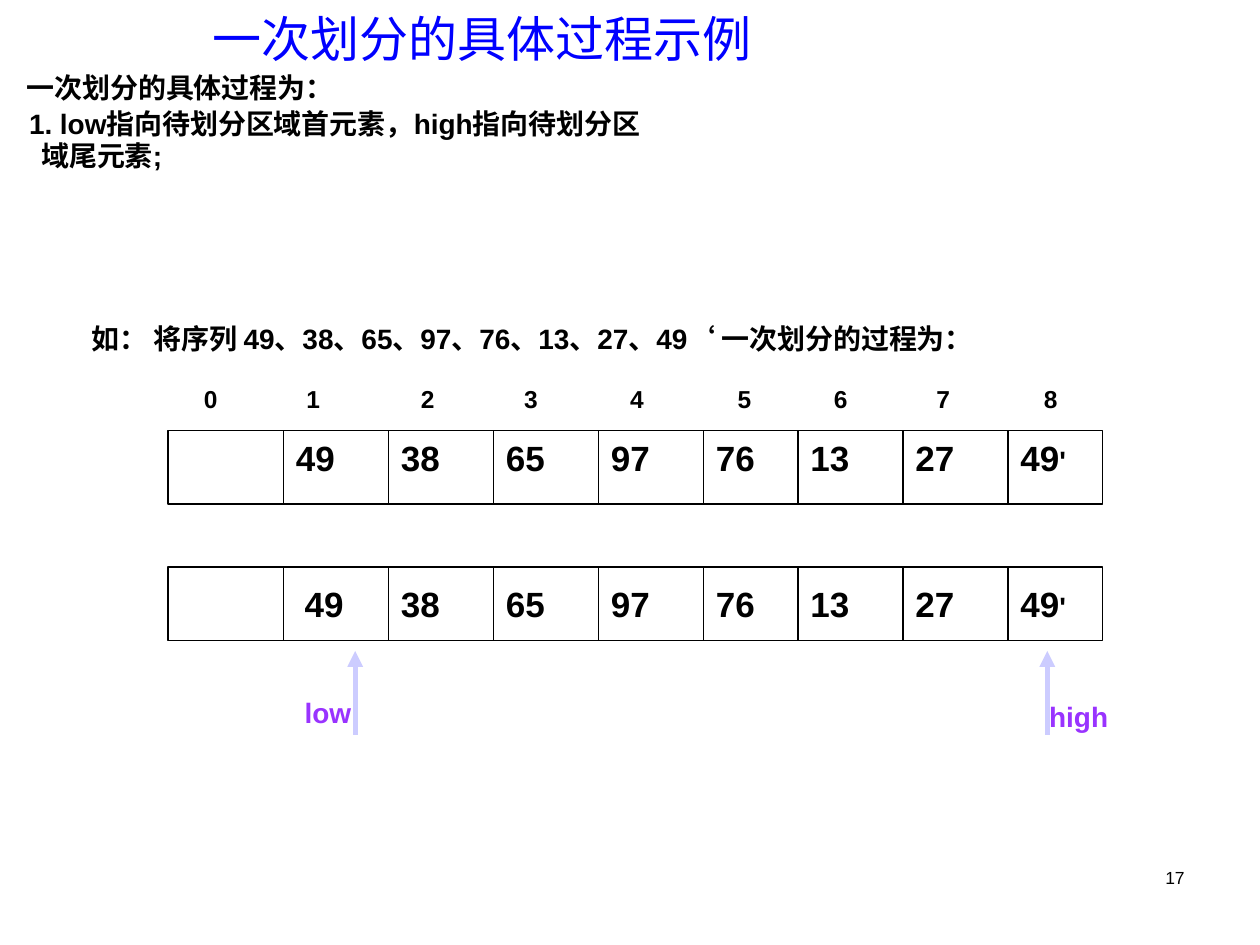
"""Build the slide that shows the first step of one partition pass."""
from dataclasses import dataclass

from lxml import etree
from pptx import Presentation
from pptx.dml.color import RGBColor
from pptx.enum.shapes import MSO_CONNECTOR, MSO_SHAPE
from pptx.enum.text import MSO_ANCHOR, MSO_AUTO_SIZE, PP_ALIGN
from pptx.oxml.ns import qn
from pptx.util import Pt

STRAIGHT = MSO_CONNECTOR.STRAIGHT
RECTANGLE = MSO_SHAPE.RECTANGLE
TOP, MIDDLE = MSO_ANCHOR.TOP, MSO_ANCHOR.MIDDLE
NO_AUTOFIT = MSO_AUTO_SIZE.NONE
LEFT, RIGHT = PP_ALIGN.LEFT, PP_ALIGN.RIGHT


@dataclass(frozen=True)
class Theme:
    latin: str = "Arial"
    east_asian: str = "Noto Sans CJK SC"
    ink: RGBColor = RGBColor(0, 0, 0)
    heading: RGBColor = RGBColor(0, 0, 255)
    pointer: RGBColor = RGBColor(0xCC, 0xCC, 0xFF)
    pointer_name: RGBColor = RGBColor(0x99, 0x33, 0xFF)
    title_size: float = 28
    value_size: float = 20
    body_size: float = 16
    index_size: float = 14
    number_size: float = 10
    thin: float = 0.75
    thick: float = 3


@dataclass(frozen=True)
class Box:
    left: float
    top: float
    width: float
    height: float


@dataclass(frozen=True)
class ArrayRow:
    top: float
    value_drop: float
    first_shift: float


@dataclass(frozen=True)
class Pointer:
    name: str
    x: float
    label_left: float
    label_top: float


THEME = Theme()
VALUES = ("49", "38", "65", "97", "76", "13", "27", "49'")
DIVIDERS = (162, 222, 282, 342, 402, 456, 516, 576)
ARRAY_LEFT, ARRAY_WIDTH, ARRAY_HEIGHT = 96, 534, 42
INDEX_TABS = (58.5, 124, 183, 243.5, 305, 360, 418.5, 480)
ROWS = (ArrayRow(246, 0, 0), ArrayRow(324, 5.5, 5))
POINTERS = (Pointer("low", 203, 167, 394), Pointer("high", 598.5, 592.5, 396))
POINTER_TAIL, POINTER_TIP = 420, 372


def style_run(run, size: float, color: RGBColor = THEME.ink, bold: bool = True) -> None:
    font = run.font
    font.name, font.size, font.bold = THEME.latin, Pt(size), bold
    font.color.rgb = color
    east_asian = etree.Element(qn("a:ea"), typeface=THEME.east_asian)
    font._element.find(qn("a:latin")).addnext(east_asian)


def fill_frame(frame, text: str, size: float, color: RGBColor = THEME.ink, bold: bool = True) -> None:
    frame.text = text
    frame.word_wrap = True
    for paragraph in frame.paragraphs:
        for run in paragraph.runs:
            style_run(run, size, color, bold)


def add_text(slide, box: Box, text: str, size: float, color: RGBColor = THEME.ink, bold: bool = True):
    frame = slide.shapes.add_textbox(
        Pt(box.left), Pt(box.top), Pt(box.width), Pt(box.height)
    ).text_frame
    fill_frame(frame, text, size, color, bold)
    return frame


def place(shape, box: Box) -> None:
    shape.left, shape.top = Pt(box.left), Pt(box.top)
    shape.width, shape.height = Pt(box.width), Pt(box.height)


def add_line(slide, x: float, start: float, end: float, color: RGBColor, width: float):
    connector = slide.shapes.add_connector(STRAIGHT, Pt(x), Pt(start), Pt(x), Pt(end))
    connector.line.color.rgb = color
    connector.line.width = Pt(width)
    etree.SubElement(connector._element.spPr, qn("a:effectLst"))
    return connector


def add_array(slide, row: ArrayRow) -> None:
    frame = slide.shapes.add_shape(
        RECTANGLE, Pt(ARRAY_LEFT), Pt(row.top), Pt(ARRAY_WIDTH), Pt(ARRAY_HEIGHT)
    )
    frame.shadow.inherit = False
    frame.fill.background()
    frame.line.color.rgb = THEME.ink
    frame.line.width = Pt(THEME.thin)
    for position, (x, value) in enumerate(zip(DIVIDERS, VALUES)):
        add_line(slide, x, row.top, row.top + ARRAY_HEIGHT, THEME.ink, THEME.thin)
        left = x + (row.first_shift if position == 0 else 0)
        cell = Box(left, row.top + row.value_drop, 48, 31)
        number = value.rstrip("'")
        text = add_text(slide, cell, number, THEME.value_size)
        if number != value:
            prime = text.paragraphs[0].add_run()
            prime.text = "'"
            style_run(prime, THEME.body_size)


def add_pointer(slide, pointer: Pointer) -> None:
    arrow = add_line(slide, pointer.x, POINTER_TAIL, POINTER_TIP, THEME.pointer, THEME.thick)
    etree.SubElement(arrow.line._get_or_add_ln(), qn("a:tailEnd"), type="triangle")
    label = Box(pointer.label_left, pointer.label_top, 66, 26.5)
    add_text(slide, label, pointer.name, THEME.body_size, THEME.pointer_name)


def add_indices(slide) -> None:
    labels = "\t".join(str(index) for index in range(len(VALUES) + 1))
    frame = add_text(slide, Box(109.5, 216, 534, 24), labels, THEME.index_size)
    tabs = etree.SubElement(frame.paragraphs[0]._p.get_or_add_pPr(), qn("a:tabLst"))
    for position in INDEX_TABS:
        etree.SubElement(tabs, qn("a:tab"), pos=str(Pt(position)), algn="l")


def add_headings(slide) -> None:
    title, body = slide.placeholders
    place(title, Box(114.5, 12, 543.5, 19.5))
    fill_frame(title.text_frame, "一次划分的具体过程示例", THEME.title_size, THEME.heading, False)
    title.text_frame.vertical_anchor = MIDDLE
    title.text_frame.paragraphs[0].alignment = LEFT

    place(body, Box(8, 38, 378, 26))
    fill_frame(body.text_frame, "一次划分的具体过程为：", THEME.body_size)
    body.text_frame.vertical_anchor = TOP
    intro = body.text_frame.paragraphs[0]
    intro.line_spacing, intro.space_before = 0.95, Pt(0)
    properties = intro._p.get_or_add_pPr()
    properties.set("marL", "0")
    properties.set("indent", "0")
    etree.SubElement(properties, qn("a:buNone"))
    for holder in (title, body):
        holder.text_frame.auto_size = NO_AUTOFIT


def add_step(slide) -> None:
    text = "1. low指向待划分区域首元素，high指向待划分区\n域尾元素;"
    frame = add_text(slide, Box(9.5, 59, 436, 52.5), text, THEME.body_size)
    for paragraph in frame.paragraphs:
        paragraph.line_spacing = 0.95
    frame.paragraphs[1]._p.get_or_add_pPr().set("marL", str(Pt(7)))


def main() -> None:
    deck = Presentation()
    deck.slide_width, deck.slide_height = Pt(720), Pt(540)
    slide = deck.slides.add_slide(deck.slide_layouts[1])
    add_headings(slide)
    add_step(slide)
    example = "如： 将序列 49、38、65、97、76、13、27、49‘ 一次划分的过程为："
    sequence = add_text(slide, Box(45, 182.5, 649, 24.5), example, THEME.body_size)
    sequence.paragraphs[0].line_spacing = 0.9
    add_indices(slide)
    for row in ROWS:
        add_array(slide, row)
    for pointer in POINTERS:
        add_pointer(slide, pointer)
    number = add_text(slide, Box(516, 492, 168, 36), "17", THEME.number_size, bold=False)
    number.paragraphs[0].alignment = RIGHT
    deck.save("out.pptx")


if __name__ == "__main__":
    main()
